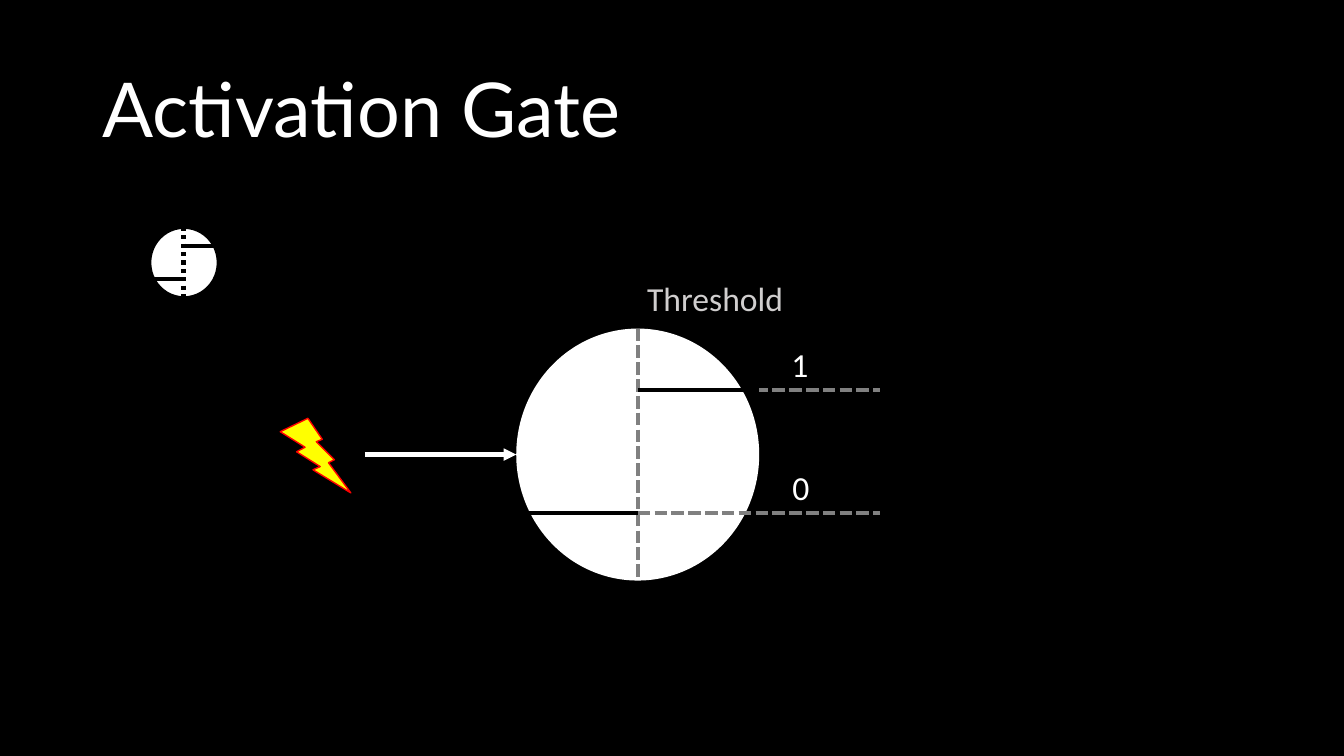
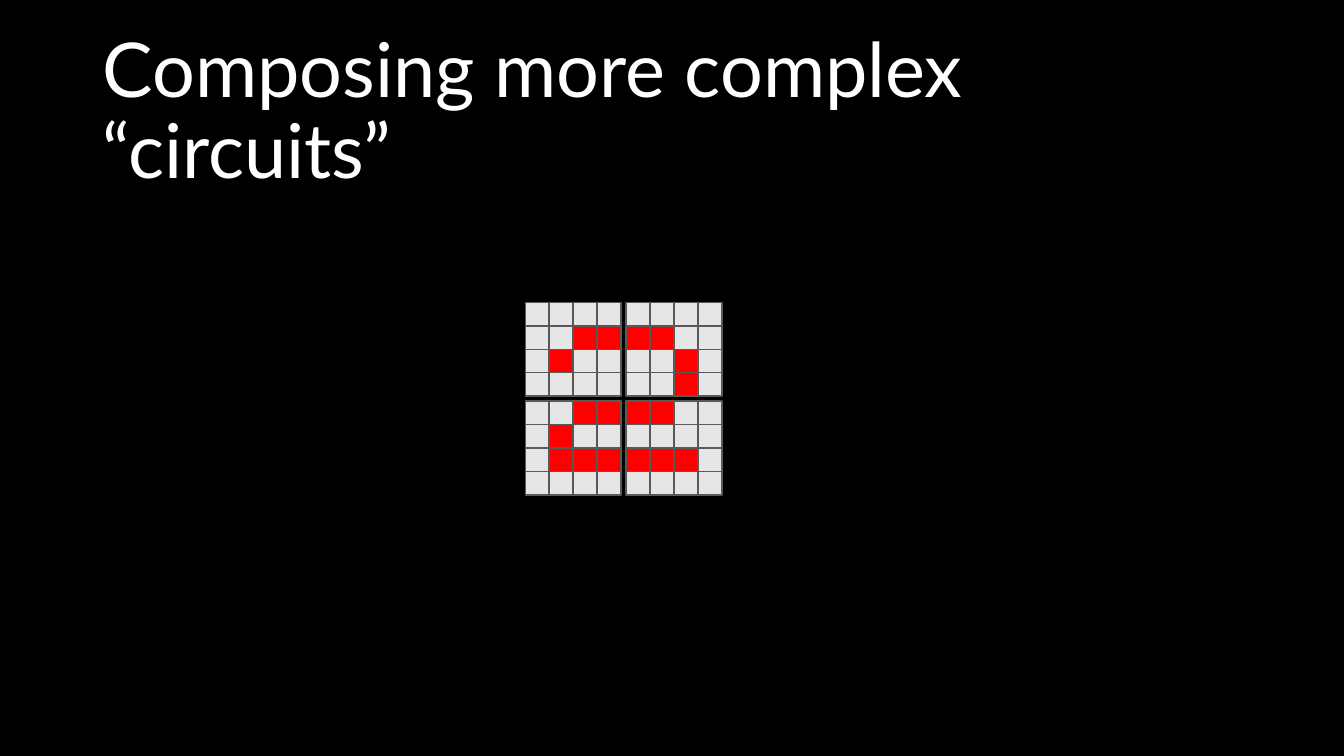
import pptx
import pptx.util
import pptx.dml.color
import pptx.enum.dml
import pptx.enum.shapes
import pptx.enum.text
import pptx.oxml.ns
import lxml.etree

Inches, Pt = pptx.util.Inches, pptx.util.Pt
RGBColor = pptx.dml.color.RGBColor
SHAPE = pptx.enum.shapes.MSO_SHAPE
DASH = pptx.enum.dml.MSO_LINE
ANCHOR = pptx.enum.text.MSO_ANCHOR
AUTO_SIZE = pptx.enum.text.MSO_AUTO_SIZE
qn = pptx.oxml.ns.qn

BLACK = RGBColor(0x00, 0x00, 0x00)
WHITE = RGBColor(0xFF, 0xFF, 0xFF)
GRAY = RGBColor(0x80, 0x80, 0x80)
SILVER = RGBColor(0xD0, 0xCE, 0xCE)
YELLOW = RGBColor(0xFF, 0xFF, 0x00)
RED = RGBColor(0xFF, 0x00, 0x00)
CELL_OFF = RGBColor(0xE7, 0xE6, 0xE6)
CELL_EDGE = RGBColor(0x59, 0x59, 0x59)

# Content
GATE_TITLE = "Activation Gate"
CIRCUITS_TITLE = "Composing more complex “circuits”"
LABELS = [  # text, box, colour
    ("1", (7.75, 3.36, 0.37, 0.5), WHITE),
    ("0", (7.76, 4.58, 0.37, 0.5), WHITE),
    ("Threshold", (6.32, 2.71, 1.56, 0.5), SILVER),
]
PATCHES = [  # two by two patches of pixels, # is lit
    [("....", "..##", ".#..", "...."), ("....", "##..", "..#.", "..#.")],
    [("..##", ".#..", ".###", "...."), ("##..", "....", "###.", "....")],
]

# Geometry in inches
TITLE_BOX = (0.92, 0.4, 11.5, 1.45)
GATE = (5.12, 3.26, 2.41, 2.5)
GATE_MID_X = GATE[0] + GATE[2] / 2
GATE_MID_Y = GATE[1] + GATE[3] / 2
GATE_RIGHT = GATE[0] + GATE[2]
GATE_BOTTOM = GATE[1] + GATE[3]
HIGH_Y, LOW_Y, LEVEL_END = 3.87, 5.09, 8.73
ICON = (1.48, 2.25, 0.69, 0.71)
ICON_MID_X = 1.82
PATCH_LEFT, PATCH_TOP, PATCH_W, PATCH_H = 5.21, 3, 0.95, 0.93
PATCH_STEP_X, PATCH_STEP_Y = 1, 0.98


def add_text(slide, text, box, size=24, font="Calibri", color=WHITE,
             wrap=False, anchor=ANCHOR.TOP, spacing=None):
    sp = slide.shapes.add_textbox(*map(Inches, box))
    tf = sp.text_frame
    tf.word_wrap = wrap
    tf.auto_size = AUTO_SIZE.NONE if wrap else AUTO_SIZE.SHAPE_TO_FIT_TEXT
    tf.vertical_anchor = anchor
    p = tf.paragraphs[0]
    p.line_spacing = spacing
    r = p.add_run()
    r.text = text
    r.font.size, r.font.name, r.font.color.rgb = Pt(size), font, color
    return sp


def add_shape(shapes, kind, box, fill, line=None, width=1):
    sp = shapes.add_shape(kind, *map(Inches, box))
    sp.shadow.inherit = False
    sp.fill.solid()
    sp.fill.fore_color.rgb = fill
    if line is None:
        sp.line.fill.background()
    else:
        sp.line.color.rgb = line
        sp.line.width = Pt(width)
    return sp


def add_line(shapes, x1, y1, x2, y2, color=BLACK, dash=None, arrow=False):
    cx = shapes.add_connector(pptx.enum.shapes.MSO_CONNECTOR.STRAIGHT,
                              *map(Inches, (x1, y1, x2, y2)))
    cx.line.color.rgb = color
    cx.line.width = Pt(3)
    if dash:
        cx.line.dash_style = dash
    props = cx._element.spPr
    if arrow:
        lxml.etree.SubElement(props.find(qn("a:ln")), qn("a:tailEnd"), type="triangle")
    lxml.etree.SubElement(props, qn("a:effectLst"))
    return cx


def new_slide(prs, title):
    slide = prs.slides.add_slide(prs.slide_layouts[6])
    add_text(slide, title, TITLE_BOX, size=54, font="Lato", wrap=True,
             anchor=ANCHOR.MIDDLE, spacing=0.9)
    return slide


def build_gate(prs):
    slide = new_slide(prs, GATE_TITLE)
    shapes = slide.shapes
    guide = dict(color=GRAY, dash=DASH.SQUARE_DOT)

    # Gate with its input signal
    add_line(shapes, GATE_MID_X, HIGH_Y, LEVEL_END, HIGH_Y, **guide)
    add_shape(shapes, SHAPE.OVAL, GATE, WHITE)
    add_line(shapes, 3.62, GATE_MID_Y, GATE[0], GATE_MID_Y, color=WHITE, arrow=True)
    add_shape(shapes, SHAPE.LIGHTNING_BOLT, (2.78, 4.15, 0.7, 0.74), YELLOW, RED)

    # Threshold and step levels
    add_line(shapes, GATE_MID_X, GATE[1], GATE_MID_X, GATE_BOTTOM, **guide)
    add_line(shapes, GATE_MID_X, LOW_Y, LEVEL_END, LOW_Y, **guide)
    add_line(shapes, GATE[0], LOW_Y, GATE_MID_X, LOW_Y)
    add_line(shapes, GATE_MID_X, HIGH_Y, GATE_RIGHT, HIGH_Y)
    for text, box, color in LABELS:
        add_text(slide, text, box, color=color)

    # Small gate icon
    icon = shapes.add_group_shape().shapes
    add_shape(icon, SHAPE.OVAL, ICON, WHITE, BLACK, 3)
    add_line(icon, ICON_MID_X, ICON[1], ICON_MID_X, ICON[1] + ICON[3],
             dash=DASH.ROUND_DOT)
    add_line(icon, 1.8, 2.44, 2.13, 2.44)
    add_line(icon, 1.51, 2.77, 1.84, 2.77)


def add_patch(slide, rows, left, top):
    group = slide.shapes.add_group_shape().shapes
    w, h = PATCH_W / len(rows[0]), PATCH_H / len(rows)
    for i, row in enumerate(rows):
        for j, pixel in enumerate(row):
            add_shape(group, SHAPE.RECTANGLE, (left + j * w, top + i * h, w, h),
                      RED if pixel == "#" else CELL_OFF, CELL_EDGE)


def build_circuits(prs):
    slide = new_slide(prs, CIRCUITS_TITLE)
    for i, patch_row in enumerate(PATCHES):
        for j, rows in enumerate(patch_row):
            add_patch(slide, rows, PATCH_LEFT + j * PATCH_STEP_X,
                      PATCH_TOP + i * PATCH_STEP_Y)


def main():
    prs = pptx.Presentation()
    prs.slide_width, prs.slide_height = Inches(13.33), Inches(7.5)
    # Shared black background
    fill = prs.slide_master.background.fill
    fill.solid()
    fill.fore_color.rgb = BLACK
    build_gate(prs)
    build_circuits(prs)
    prs.save("out.pptx")


if __name__ == "__main__":
    main()
